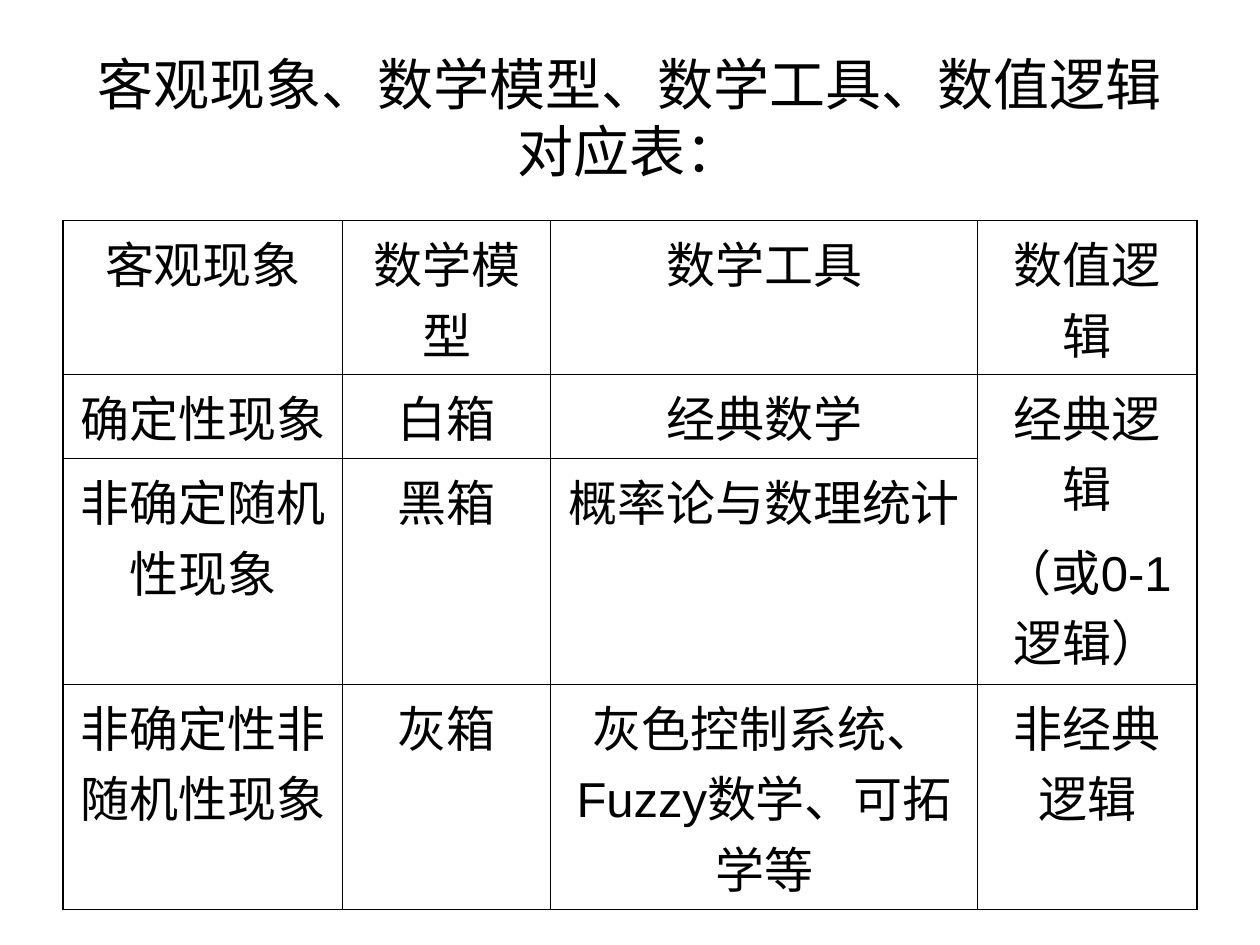
from lxml import etree
from pptx import Presentation
from pptx import util as u
from pptx.dml.color import RGBColor
from pptx.enum import text
from pptx.oxml import ns

BLACK = RGBColor(0, 0, 0)
WHITE = RGBColor(255, 255, 255)

HEADING = "客观现象、数学模型、数学工具、数值逻辑对应表："
COLUMN_WIDTHS = [2.22, 1.65, 3.39, 1.74]
ROW_HEIGHTS = [1.22, 0.67, 1.79, 1.79]
CORRESPONDENCE = [
    ["客观现象", "数学模型", "数学工具", "数值逻辑"],
    ["确定性现象", "白箱", "经典数学", "经典逻辑\n（或0-1逻辑）"],
    ["非确定随机性现象", "黑箱", "概率论与数理统计", ""],
    ["非确定性非随机性现象", "灰箱", "灰色控制系统、Fuzzy数学、可拓学等", "非经典逻辑"],
]


class SlideBuilder:
    title_font, title_size = "Times New Roman", u.Pt(32)
    body_font, body_size = "Arial", u.Pt(28)
    outer_line, inner_line = u.Pt(1.08), u.Pt(0.45)

    def __init__(self, slide):
        self.slide = slide

    def style(self, paragraph, font, size):
        paragraph.alignment = text.PP_ALIGN.CENTER
        for run in paragraph.runs:
            run.font.name = font
            run.font.size = size
            run.font.color.rgb = BLACK

    def title(self, wording, left, top, width, height):
        box = self.slide.shapes.add_textbox(
            u.Inches(left), u.Inches(top), u.Inches(width), u.Inches(height))
        frame = box.text_frame
        frame.word_wrap = True
        frame.vertical_anchor = text.MSO_ANCHOR.MIDDLE
        frame.text = wording
        self.style(frame.paragraphs[0], self.title_font, self.title_size)

    def borders(self, cell, **widths):
        """Draw the sides L, R, T and B, given in that order."""
        properties = cell._tc.get_or_add_tcPr()
        for side, width in widths.items():
            line = etree.SubElement(properties, ns.qn(f"a:ln{side}"), w=str(width))
            fill = etree.SubElement(line, ns.qn("a:solidFill"))
            etree.SubElement(fill, ns.qn("a:srgbClr"), val=str(BLACK))

    def cell(self, cell, wording):
        cell.text_frame.text = wording
        for paragraph in cell.text_frame.paragraphs:
            paragraph.space_before = u.Pt(7)
            self.style(paragraph, self.body_font, self.body_size)

    def table(self, rows, left, top, widths, heights, merges=()):
        last_row, last_column = len(heights) - 1, len(widths) - 1
        table = self.slide.shapes.add_table(
            len(heights), len(widths), u.Inches(left), u.Inches(top),
            u.Inches(sum(widths)), u.Inches(sum(heights))).table
        table.first_row = table.horz_banding = False
        for column, width in zip(table.columns, widths):
            column.width = u.Inches(width)
        for row, height in zip(table.rows, heights):
            row.height = u.Inches(height)
        for first, last in merges:
            table.cell(*first).merge(table.cell(*last))

        def line(is_edge):
            return self.outer_line if is_edge else self.inner_line

        for r, row in enumerate(rows):
            for c, wording in enumerate(row):
                cell = table.cell(r, c)
                self.borders(cell, L=line(c == 0), R=line(c == last_column),
                             T=line(r == 0), B=line(r == last_row))
                cell.fill.solid()
                cell.fill.fore_color.rgb = WHITE
                if not cell.is_spanned:
                    self.cell(cell, wording)


def main():
    presentation = Presentation()
    presentation.slide_width = u.Inches(10)
    presentation.slide_height = u.Inches(7.5)
    builder = SlideBuilder(presentation.slides.add_slide(presentation.slide_layouts[6]))
    builder.title(HEADING, 0.5, 0.3, 9, 1.25)
    builder.table(CORRESPONDENCE, 0.5, 1.75, COLUMN_WIDTHS, ROW_HEIGHTS,
                  merges=[((1, 3), (2, 3))])
    presentation.save("out.pptx")


if __name__ == "__main__":
    main()
